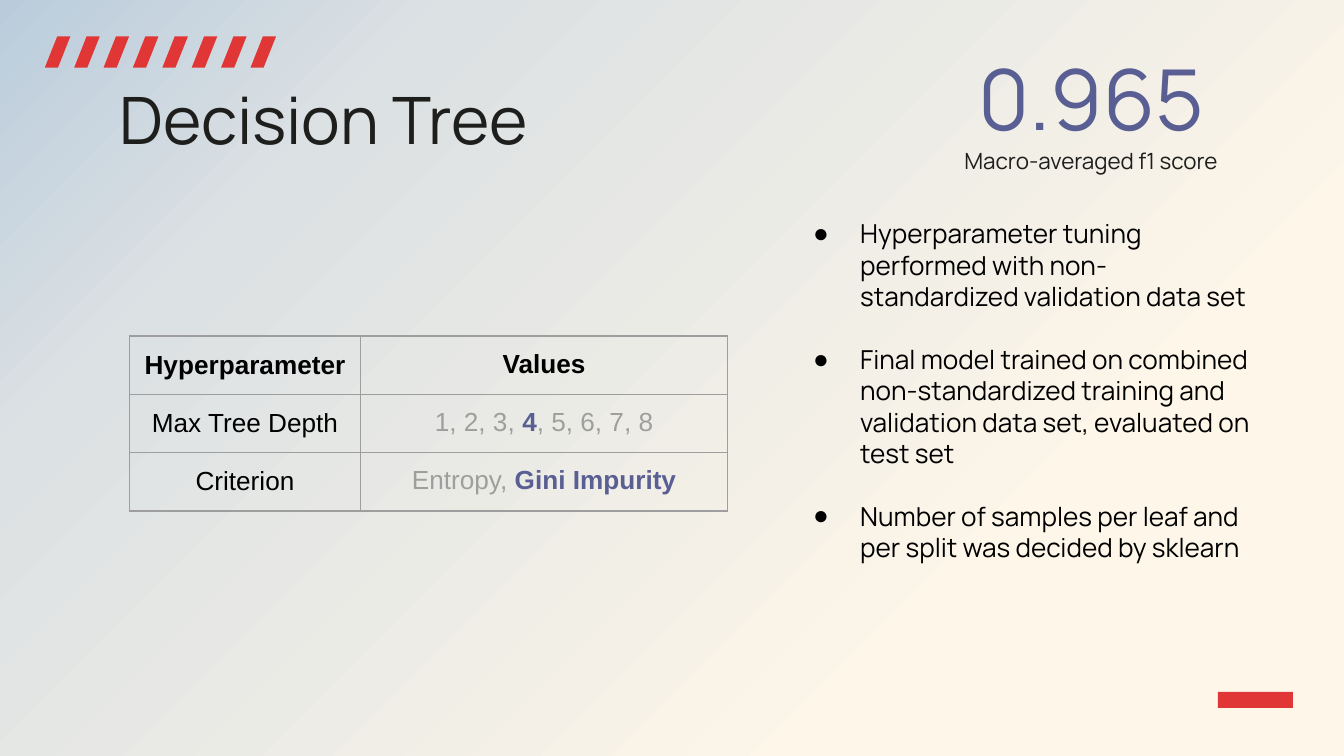
import pptx
import pptx.dml.color
import pptx.enum.shapes
import pptx.enum.text
import pptx.oxml
import pptx.oxml.ns
import pptx.util
from lxml import etree

Pt = pptx.util.Pt
qn = pptx.oxml.ns.qn
ALIGN = pptx.enum.text.PP_ALIGN
ANCHOR = pptx.enum.text.MSO_ANCHOR
FIT = pptx.enum.text.MSO_AUTO_SIZE
SHAPE = pptx.enum.shapes.MSO_SHAPE

COLORS = {
    "sky": "BACCDC",
    "mist": "DCE1E3",
    "cream": "FDF6E9",
    "red": "E03636",
    "ink": "1E1F1C",
    "black": "000000",
    "gray": "9E9E9E",
    "indigo": "595E93",
}
DISPLAY_FONT = "Manrope"
TABLE_FONT = "Arial"
INSET = 7.2


class SlideBuilder:
    """Holds the style and the current page; all lengths are in points."""

    def __init__(self, page):
        self.page = page

    def color(self, name):
        return pptx.dml.color.RGBColor.from_string(COLORS[name])

    def background(self, stops, angle):
        fill = self.page.background.fill
        fill.gradient()
        fill.gradient_angle = angle
        stop_list = next(self.page.element.iter(qn("a:gsLst")))
        for stop in list(stop_list):
            stop_list.remove(stop)
        for percent, name in stops:
            stop = etree.SubElement(stop_list, qn("a:gs"), pos=str(percent * 1000))
            etree.SubElement(stop, qn("a:srgbClr"), val=COLORS[name])

    def shape(self, parent, kind, left, top, width, height, fill):
        shape = parent.shapes.add_shape(kind, Pt(left), Pt(top), Pt(width), Pt(height))
        shape.shadow.inherit = False
        shape.fill.solid()
        shape.fill.fore_color.rgb = self.color(fill)
        shape.line.fill.background()
        return shape

    def style(self, span, size, color, font=DISPLAY_FONT, bold=False):
        span.font.size = Pt(size)
        span.font.name = font
        span.font.bold = bold
        span.font.color.rgb = self.color(color)

    def frame(self, box, anchor, fit=FIT.NONE):
        frame = box.text_frame
        frame.word_wrap = True
        frame.auto_size = fit
        frame.vertical_anchor = anchor
        frame.margin_left = frame.margin_right = Pt(INSET)
        frame.margin_top = frame.margin_bottom = Pt(INSET)
        return frame

    def place(self, box, left, top, width, height):
        box.left, box.top = Pt(left), Pt(top)
        box.width, box.height = Pt(width), Pt(height)

    def title(self, text, *place):
        box = self.page.shapes.title
        self.place(box, *place)
        frame = self.frame(box, ANCHOR.TOP)
        frame.text = text
        para = frame.paragraphs[0]
        para.alignment = ALIGN.LEFT
        self.style(para.runs[0], 35, "ink")

    def bullets(self, items, gap, *place):
        box = self.page.placeholders[1]
        self.place(box, *place)
        frame = self.frame(box, ANCHOR.TOP, FIT.SHAPE_TO_FIT_TEXT)
        frame.text = "\n".join(items)
        for index, para in enumerate(frame.paragraphs):
            para.space_before = Pt(gap if index else 0)
            properties = para._p.get_or_add_pPr()
            properties.set("marL", str(Pt(36)))
            properties.set("indent", str(Pt(-25.2)))
            bullet_color = etree.SubElement(properties, qn("a:buClr"))
            etree.SubElement(bullet_color, qn("a:srgbClr"), val=COLORS["black"])
            etree.SubElement(properties, qn("a:buChar"), char="●")
            self.style(para.runs[0], 14, "black")

    def text(self, lines, *place):
        box = self.page.shapes.add_textbox(*map(Pt, place))
        frame = self.frame(box, ANCHOR.MIDDLE)
        frame.text = "\n".join(text for text, _, _ in lines)
        for para, (_, size, color) in zip(frame.paragraphs, lines):
            para.alignment = ALIGN.CENTER
            self.style(para.runs[0], size, color)

    def cell(self, cell, spans, anchor):
        cell.fill.background()
        cell.vertical_anchor = anchor
        cell.margin_left = cell.margin_right = Pt(INSET)
        cell.margin_top = cell.margin_bottom = Pt(INSET)
        para = cell.text_frame.paragraphs[0]
        para.alignment = ALIGN.CENTER
        for text, color, bold in spans:
            span = para.add_run()
            span.text = text
            self.style(span, 14, color, TABLE_FONT, bold)
        # Borders come before the fill in the cell properties
        properties = cell._tc.get_or_add_tcPr()
        for index, side in enumerate(("lnL", "lnR", "lnT", "lnB")):
            line = etree.Element(qn("a:" + side), w=str(Pt(0.75)))
            fill = etree.SubElement(line, qn("a:solidFill"))
            etree.SubElement(fill, qn("a:srgbClr"), val=COLORS["gray"])
            properties.insert(index, line)

    def table(self, rows, left, top, widths, heights):
        table = self.page.shapes.add_table(
            len(rows), len(widths), Pt(left), Pt(top), Pt(sum(widths)), Pt(sum(heights))
        ).table
        table.first_row = table.horz_banding = False
        for column, width in zip(table.columns, widths):
            column.width = Pt(width)
        for row, height, cells in zip(table.rows, heights, rows):
            row.height = Pt(height)
            for cell, spans, anchor in zip(row.cells, cells, (ANCHOR.MIDDLE, ANCHOR.TOP)):
                self.cell(cell, spans, anchor)


def main():
    deck = pptx.Presentation()
    deck.slide_width, deck.slide_height = Pt(720), Pt(405)
    page = deck.slides.add_slide(deck.slide_layouts[1])
    builder = SlideBuilder(page)

    # Background and red accents
    builder.background([(0, "sky"), (22, "mist"), (75, "cream"), (100, "cream")], 315)
    stripes = page.shapes.add_group_shape()
    for index in range(8):
        stripe = builder.shape(
            stripes, SHAPE.PARALLELOGRAM, 24 + 15.74 * index, 19.5, 13.7, 16.7, "red"
        )
        stripe.adjustments[0] = 0.486
    builder.shape(page, SHAPE.RECTANGLE, 652.5, 370.6, 40.2, 8.7, "red")

    # Title
    builder.title("Decision Tree", 57, 35.3, 607, 45.4)

    # Hyperparameter table, chosen values highlighted
    rows = [
        [[("Hyperparameter", "black", True)], [("Values", "black", True)]],
        [
            [("Max Tree Depth", "black", False)],
            [("1, 2, 3, ", "gray", False), ("4", "indigo", True),
             (", 5, 6, 7, 8", "gray", False)],
        ],
        [
            [("Criterion", "black", False)],
            [("Entropy, ", "gray", False), ("Gini Impurity", "indigo", True)],
        ],
    ]
    builder.table(rows, 69.3, 180, [124, 196.4], [31, 30.2, 30.2])

    # Score
    score = [("0.965", 45, "indigo"), ("Macro-averaged f1 score", 12, "ink")]
    builder.text(score, 477.2, 26, 214.6, 66.2)

    # Notes on training
    notes = [
        "Hyperparameter tuning performed with non-standardized validation data set",
        "Final model trained on combined non-standardized training and "
        "validation data set, evaluated on test set",
        "Number of samples per leaf and per split was decided by sklearn",
    ]
    builder.bullets(notes, 16.8, 417.6, 109.5, 266.4, 235.4)

    deck.save("out.pptx")


if __name__ == "__main__":
    main()
